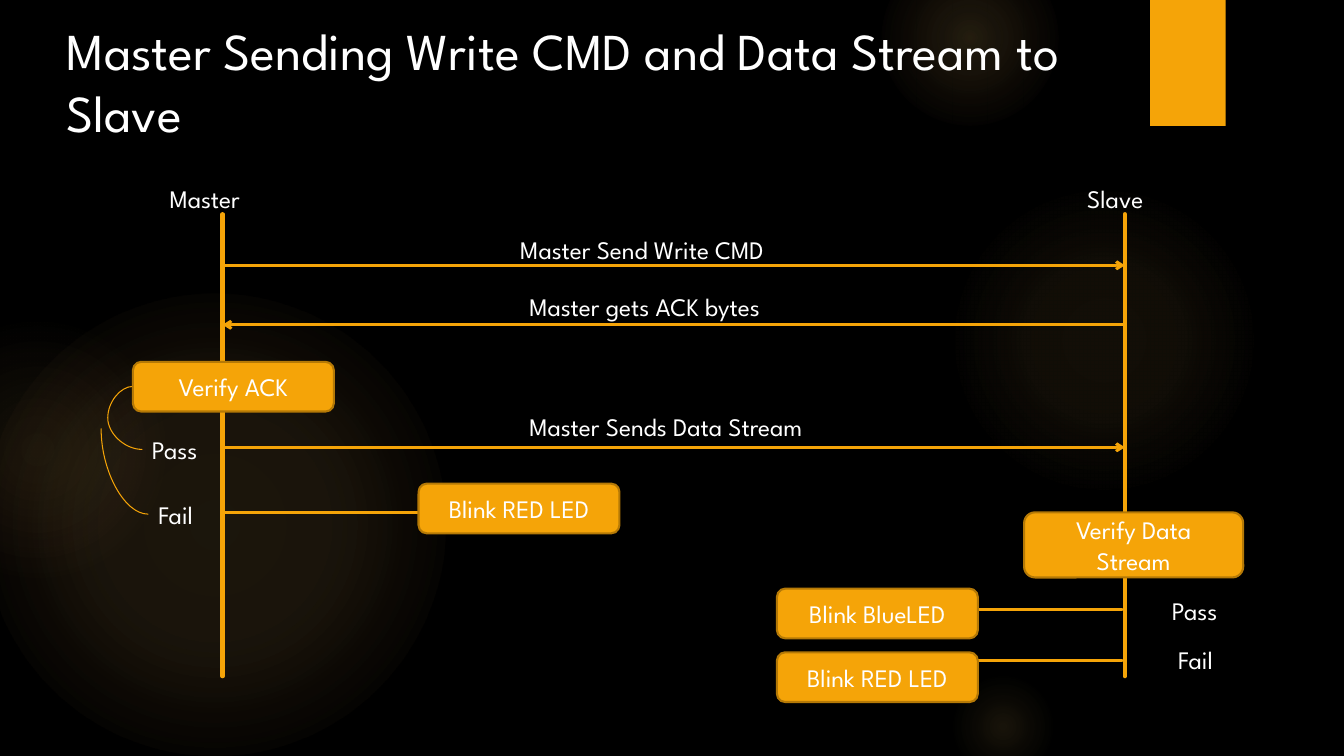
from lxml.etree import SubElement
from pptx import Presentation
from pptx.dml.color import RGBColor
from pptx.enum.shapes import MSO_CONNECTOR, MSO_SHAPE
from pptx.enum.text import MSO_ANCHOR, MSO_AUTO_SIZE, PP_ALIGN
from pptx.oxml import parse_xml
from pptx.oxml.ns import nsdecls, qn
from pptx.util import Pt

FONT = "League Spartan"
COLORS = {
    "background": "000000",
    "accent": "F5A408",
    "border": "B57906",
    "text": "FFFFFF",
    "glow": "FAC96A",
    "warm_glow": "F59B74",
}
MASTER_X, SLAVE_X = 159, 803.5
BRANCH_X = 801.5
LABEL_HEIGHT = 29
BOX_WIDTH, BOX_HEIGHT = 143.5, 35.5


def color(name):
    return RGBColor.from_string(COLORS[name])


def style_text(paragraph, size):
    paragraph.font.name = FONT
    paragraph.font.size = Pt(size)
    paragraph.font.color.rgb = color("text")


def add_glow(slide, left, top, diameter, stops):
    """Circle that fades outwards; stops are (position %, colour, opacity %)."""
    shape = slide.shapes.add_shape(
        MSO_SHAPE.OVAL, Pt(left), Pt(top), Pt(diameter), Pt(diameter))
    shape.shadow.inherit = False
    shape.line.fill.background()
    stop_xml = "".join(
        f'<a:gs pos="{position * 1000}"><a:srgbClr val="{COLORS[name]}">'
        f'<a:alpha val="{opacity * 1000}"/></a:srgbClr></a:gs>'
        for position, name, opacity in stops)
    gradient = parse_xml(
        f'<a:gradFill {nsdecls("a")} rotWithShape="1"><a:gsLst>{stop_xml}</a:gsLst>'
        '<a:path path="circle"><a:fillToRect l="50000" t="50000" r="50000" b="50000"/>'
        '</a:path></a:gradFill>')
    shape._element.spPr.find(qn("a:prstGeom")).addnext(gradient)


def add_line(slide, start, end, width=2, arrow=False, kind=MSO_CONNECTOR.STRAIGHT):
    connector = slide.shapes.add_connector(
        kind, *(Pt(value) for value in (*start, *end)))
    connector.line.color.rgb = color("accent")
    connector.line.width = Pt(width)
    line = connector.line._get_or_add_ln()
    line.set("cap", "rnd")
    if arrow:
        SubElement(line, qn("a:tailEnd"), type="arrow")
    SubElement(connector._element.spPr, qn("a:effectLst"))
    return connector


def add_label(slide, text, left, top, width):
    shape = slide.shapes.add_textbox(Pt(left), Pt(top), Pt(width), Pt(LABEL_HEIGHT))
    frame = shape.text_frame
    frame.word_wrap = False
    frame.auto_size = MSO_AUTO_SIZE.SHAPE_TO_FIT_TEXT
    frame.text = text
    style_text(frame.paragraphs[0], 18)


def add_box(slide, text, left, top, width=BOX_WIDTH, height=BOX_HEIGHT):
    shape = slide.shapes.add_shape(
        MSO_SHAPE.ROUNDED_RECTANGLE, Pt(left), Pt(top), Pt(width), Pt(height))
    shape.shadow.inherit = False
    shape.fill.solid()
    shape.fill.fore_color.rgb = color("accent")
    shape.line.color.rgb = color("border")
    shape.line.width = Pt(1.5)
    frame = shape.text_frame
    frame.word_wrap = True
    frame.vertical_anchor = MSO_ANCHOR.MIDDLE
    frame.text = text
    frame.paragraphs[0].alignment = PP_ALIGN.CENTER
    style_text(frame.paragraphs[0], 18)


def add_backdrop(slide):
    slide.background.fill.solid()
    slide.background.fill.fore_color.rgb = color("background")
    for left, top, diameter, stops in (
        (-12, 210, 330, ((0, "glow", 11), (36, "glow", 10), (75, "glow", 0))),
        (-66, 228, 186, ((0, "glow", 8), (36, "glow", 5), (71, "warm_glow", 0))),
        (677.5, 132, 222, ((0, "glow", 7), (36, "glow", 6), (69, "glow", 0))),
        (630, -36, 126, ((0, "glow", 14), (36, "glow", 7), (73, "glow", 0))),
        (677.5, 480, 78, ((0, "glow", 10), (31, "glow", 5), (66, "glow", 0))),
    ):
        add_glow(slide, left, top, diameter, stops)
    tab = slide.shapes.add_shape(MSO_SHAPE.RECTANGLE, Pt(821.5), 0, Pt(54), Pt(90))
    tab.shadow.inherit = False
    tab.fill.solid()
    tab.fill.fore_color.rgb = color("accent")
    tab.line.fill.background()


def add_title(slide, text):
    shape = slide.shapes.add_textbox(Pt(38), Pt(8.5), Pt(763), Pt(100))
    frame = shape.text_frame
    frame.word_wrap = True
    frame.auto_size = MSO_AUTO_SIZE.SHAPE_TO_FIT_TEXT
    frame.margin_left = frame.margin_right = Pt(9.5)
    frame.margin_top = frame.margin_bottom = Pt(5)
    frame.text = text
    style_text(frame.paragraphs[0], 37)


def add_result_curves(slide):
    # Verify ACK to Pass, bulging to the left
    pass_curve = add_line(slide, (95, 276), (101.5, 321), 0.75, kind=MSO_CONNECTOR.CURVE)
    guides = pass_curve._element.spPr.find(qn("a:prstGeom")).get_or_add_avLst()
    SubElement(guides, qn("a:gd"), name="adj1", fmla="val -277900")

    # Quarter curve down to Fail
    fail_curve = add_line(slide, (119.5, 320), (58.5, 353.5), 0.75, kind=MSO_CONNECTOR.CURVE)
    properties = fail_curve._element.spPr
    properties.find(qn("a:prstGeom")).set("prst", "curvedConnector2")
    properties.find(qn("a:xfrm")).set("rot", str(270 * 60000))


def main():
    presentation = Presentation()
    presentation.slide_width, presentation.slide_height = Pt(960), Pt(540)
    slide = presentation.slides.add_slide(presentation.slide_layouts[6])
    add_backdrop(slide)

    # Lifelines
    for x in (MASTER_X, SLAVE_X):
        add_line(slide, (x, 153), (x, 483), 3)
    add_label(slide, "Master", 114, 127.5, 74)
    add_label(slide, "Slave", 769.5, 127.5, 62)

    # Messages
    for text, start, end, y, left, top, width in (
        ("Master Send Write CMD", MASTER_X, SLAVE_X, 189.5, 364.5, 163.5, 223),
        ("Master gets ACK bytes", SLAVE_X, MASTER_X, 232, 371, 204.5, 213),
        ("Master Sends Data Stream", MASTER_X, SLAVE_X, 319.5, 371, 290, 247),
    ):
        add_line(slide, (start, y), (end, y), arrow=True)
        add_label(slide, text, left, top, width)

    # Branches to the LED actions
    for start, end, y in (
        (MASTER_X, 299, 366),
        (698.5, BRANCH_X, 435.5),
        (698.5, BRANCH_X, 472),
    ):
        add_line(slide, (start, y), (end, y))
    add_result_curves(slide)

    # Checks and LED actions
    add_box(slide, "Verify ACK", 95, 258.5)
    add_box(slide, "Blink RED LED", 299, 345.5)
    add_box(slide, "Verify Data Stream", 731.5, 366, 156.5, 46.5)
    add_box(slide, "Blink BlueLED", 555, 420.5)
    add_box(slide, "Blink RED LED", 555, 466)

    # Check results
    for pass_left, pass_top, fail_top in ((101.5, 306.5, 353), (830, 422, 457)):
        add_label(slide, "Pass", pass_left, pass_top, 52)
        add_label(slide, "Fail", pass_left + 4.5, fail_top, 43)

    add_title(slide, "Master Sending Write CMD and Data Stream to Slave")
    presentation.save("out.pptx")


main()
